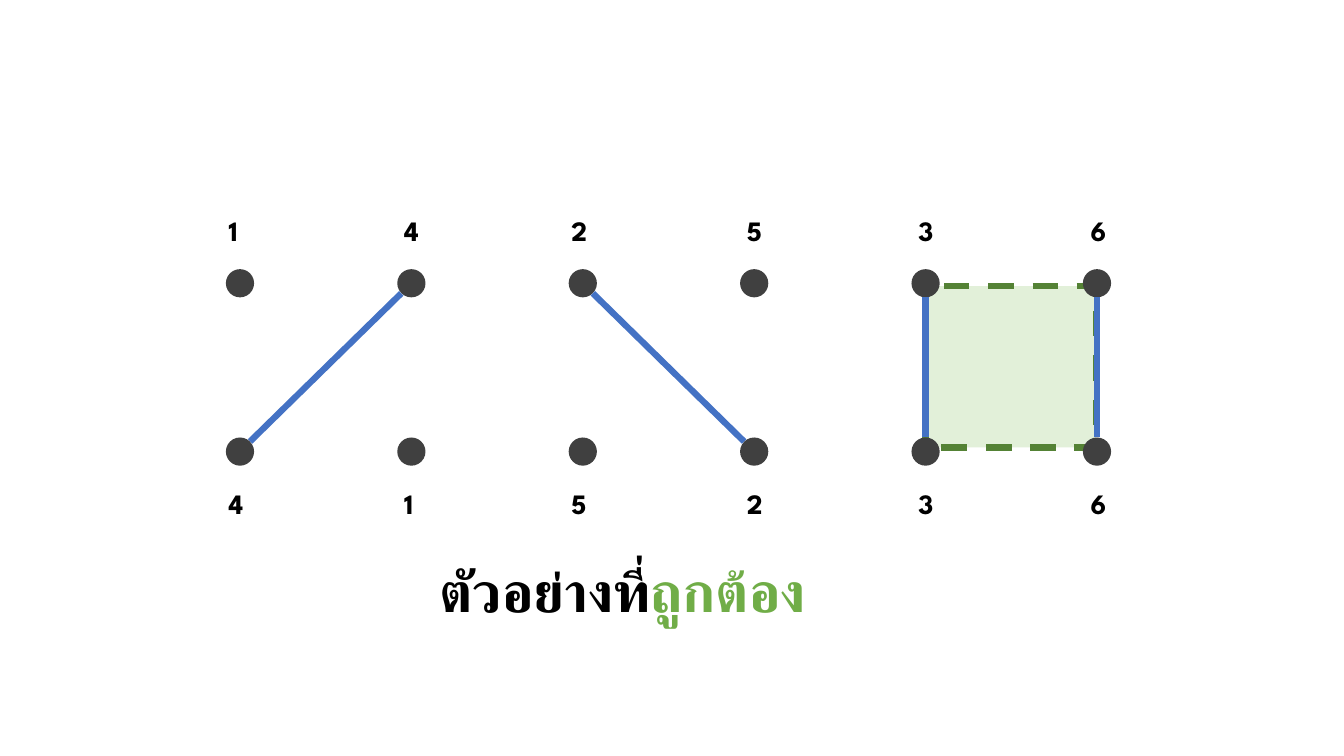
from lxml import etree
from pptx import Presentation
from pptx.dml.color import RGBColor
from pptx.enum.dml import MSO_LINE
from pptx.enum.shapes import MSO_CONNECTOR, MSO_SHAPE
from pptx.enum.text import MSO_AUTO_SIZE, PP_ALIGN
from pptx.oxml.ns import qn
from pptx.util import Inches, Pt

RECT, OVAL = MSO_SHAPE.RECTANGLE, MSO_SHAPE.OVAL
STRAIGHT = MSO_CONNECTOR.STRAIGHT
DASH = MSO_LINE.DASH
LEFT, CENTER = PP_ALIGN.LEFT, PP_ALIGN.CENTER
FIT_SHAPE = MSO_AUTO_SIZE.SHAPE_TO_FIT_TEXT

BLACK, GRAY, BLUE = "000000", "404040", "4472C4"
GREEN, DARK_GREEN, PALE_GREEN = "70AD47", "548235", "E2F0D9"

DOT = 0.28
COL_STEP, ROW_STEP = 1.7, 1.67
LINE_WIDTH = 4.5
TOP_NUMBERS, BOTTOM_NUMBERS = "142536", "415236"
LABEL_OFFSETS = [-0.07, -0.03, -0.07, -0.03, -0.03, -0.02]
# (top column, bottom column) of each joined pair of dots
JOINS = [(1, 0), (2, 3), (4, 4), (5, 5)]


def rgb(value):
    return RGBColor.from_string(value)


def add_shape(s, kind, x, y, w, h, fill):
    sp = s.shapes.add_shape(kind, Inches(x), Inches(y), Inches(w), Inches(h))
    sp.shadow.inherit = False
    sp.fill.solid()
    sp.fill.fore_color.rgb = rgb(fill)
    sp.line.fill.background()
    return sp


def add_line(s, x1, y1, x2, y2):
    line = s.shapes.add_connector(STRAIGHT, Inches(x1), Inches(y1), Inches(x2), Inches(y2))
    line.line.color.rgb = rgb(BLUE)
    line.line.width = Pt(LINE_WIDTH)
    etree.SubElement(line._element.spPr, qn("a:effectLst"))


def add_text(s, x, y, w, h, runs, size, font, align=LEFT):
    """Add one bold paragraph from (text, colour) runs."""
    tf = s.shapes.add_textbox(Inches(x), Inches(y), Inches(w), Inches(h)).text_frame
    tf.word_wrap = True
    tf.auto_size = FIT_SHAPE
    p = tf.paragraphs[0]
    p.alignment = align
    for text, color in runs:
        r = p.add_run()
        r.text = text
        r.font.size = Pt(size)
        r.font.name = font
        r.font.bold = True
        r.font.color.rgb = rgb(color)


def add_square(s, x, y, w, h):
    sp = add_shape(s, RECT, x, y, w, h, PALE_GREEN)
    sp.line.color.rgb = rgb(DARK_GREEN)
    sp.line.width = Pt(LINE_WIDTH)
    sp.line.dash_style = DASH


def add_dots(s, x, y):
    for row in range(2):
        for col in range(6):
            add_shape(s, OVAL, x + col * COL_STEP, y + row * ROW_STEP, DOT, DOT, GRAY)


def add_joins(s, x, y):
    """Join dots from rim to rim; x, y is the corner of the dot grid."""
    radius = DOT / 2
    for top, bottom in JOINS:
        side = bottom - top
        dx, dy = (side * 0.1, 0.1) if side else (0, radius)
        x_top = x + radius + top * COL_STEP
        x_bottom = x + radius + bottom * COL_STEP
        y_top = y + radius
        add_line(s, x_bottom - dx, y_top + ROW_STEP - dy, x_top + dx, y_top + dy)


def add_numbers(s, x, y, numbers):
    for col, (number, offset) in enumerate(zip(numbers, LABEL_OFFSETS)):
        add_text(s, x + col * COL_STEP + offset, y, 0.6, 0.44,
                 [(number, BLACK)], 20, "League Spartan")


def add_diagram(s, x, y):
    add_square(s, x + 6.94, y + 0.17, 1.69, 1.6)
    add_dots(s, x, y)
    add_joins(s, x, y)
    add_numbers(s, x, y - 0.6, TOP_NUMBERS)
    add_numbers(s, x, y + 2.11, BOTTOM_NUMBERS)


def add_caption(s, x, y, w, h):
    runs = [("ตัวอย่างที่", BLACK), ("ถูกต้อง", GREEN)]
    add_text(s, x, y, w, h, runs, 40, "Roboto", CENTER)


def main():
    prs = Presentation()
    prs.slide_width, prs.slide_height = Inches(13.33), Inches(7.5)
    s = prs.slides.add_slide(prs.slide_layouts[6])
    add_diagram(s, 2.24, 2.67)
    add_caption(s, 3.82, 5.47, 4.71, 0.77)
    prs.save("out.pptx")


if __name__ == "__main__":
    main()
